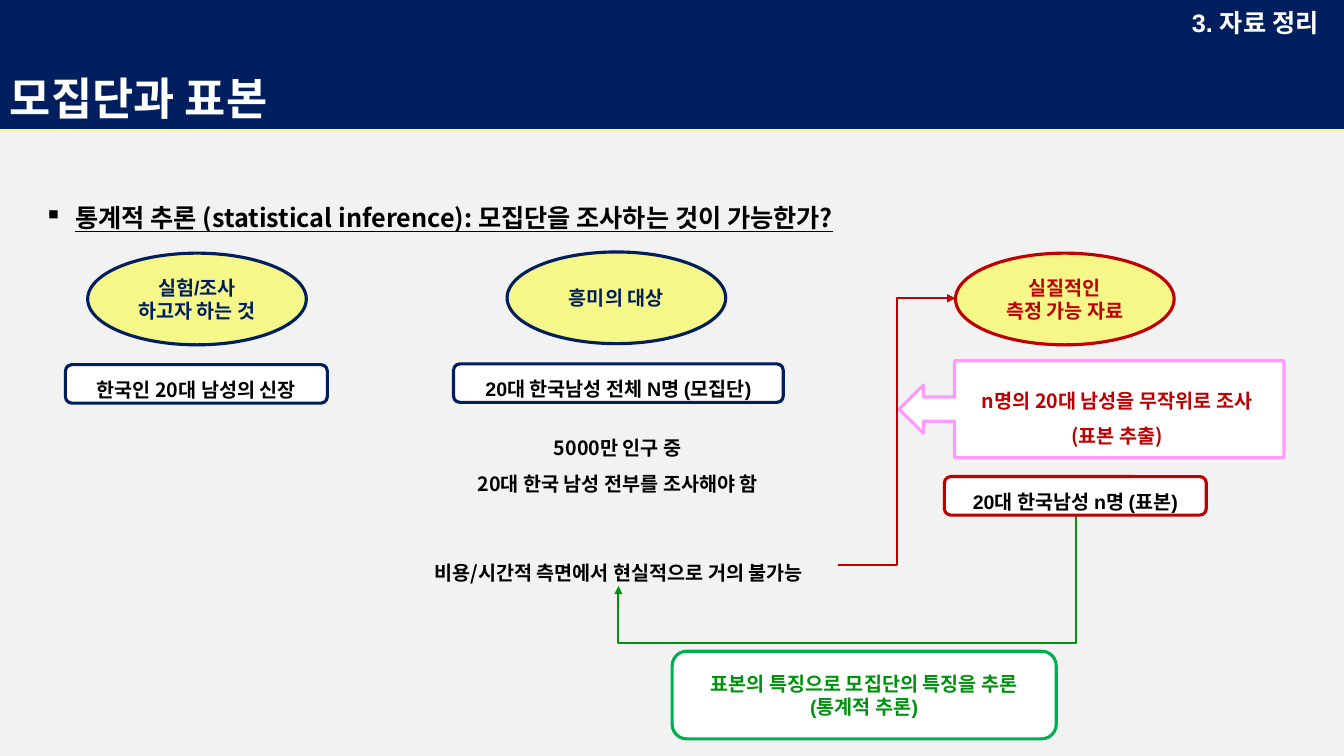
from lxml import etree
from pptx import Presentation
from pptx.dml.color import RGBColor
from pptx.enum.shapes import MSO_CONNECTOR, MSO_SHAPE
from pptx.enum.text import MSO_ANCHOR, PP_ALIGN
from pptx.oxml.ns import qn
from pptx.util import Cm, Pt

RECT, OVAL, ROUND = MSO_SHAPE.RECTANGLE, MSO_SHAPE.OVAL, MSO_SHAPE.ROUNDED_RECTANGLE
CALL = MSO_SHAPE.UP_ARROW_CALLOUT
ELBOW, LINE = MSO_CONNECTOR.ELBOW, MSO_CONNECTOR.STRAIGHT
TOP, MID, LOW = MSO_ANCHOR.TOP, MSO_ANCHOR.MIDDLE, MSO_ANCHOR.BOTTOM
LEFT, CENTER = PP_ALIGN.LEFT, PP_ALIGN.CENTER
SANS, NOTO = "Arial", "Noto Sans CJK KR"
WIDE, HIGH = 33.87, 19.05
HEAD = 3.28

HEX = {
    "paper": "F2F2F2", "navy": "011F5E", "lemon": "F5F888", "white": "FFFFFF",
    "black": "000000", "red": "C00000", "pink": "FF99FF",
    "green": "00920E", "lime": "00B050",
}

TITLE = ["모집단과 표본"]
PART = ["3. 자료 정리"]
POINT = ["통계적 추론 (statistical inference): 모집단을 조사하는 것이 가능한가?"]
OVALS = [
    (["실험/조사", "하고자 하는 것"], 2.21, 6.38, "navy"),
    (["흥미의 대상"], 12.78, 6.35, "navy"),
    (["실질적인", "측정 가능 자료"], 24.08, 6.38, "red"),
]
BOXES = [
    (["한국인 20대 남성의 신장"], 1.65, 9.19, 6.6, "navy", NOTO),
    (["20대 한국남성 전체 N명 (모집단)"], 11.43, 9.17, 8.31, "navy", SANS),
    (["20대 한국남성 n명 (표본)"], 23.8, 12.01, 6.6, "red", SANS),
]
NOTES = [
    (["5000만 인구 중", "20대 한국 남성 전부를 조사해야 함"], (11.33, 10.57, 8.48, 1.93), "black"),
    (["비용/시간적 측면에서 현실적으로 거의 불가능"], (10.06, 13.72, 11.07, 1.04), "black"),
    (["n명의 20대 남성을 무작위로 조사", "(표본 추출)"], (23.8, 9.37, 8.71, 1.93), "red"),
]
RESULT = ["표본의 특징으로 모집단의 특징을 추론", "(통계적 추론)"]

deck = Presentation()
deck.slide_width, deck.slide_height = Cm(WIDE), Cm(HIGH)
slide = deck.slides.add_slide(deck.slide_layouts[6])


def tint(name):
    return RGBColor.from_string(HEX[name])


slide.background.fill.solid()
slide.background.fill.fore_color.rgb = tint("paper")


def write(shape, lines, size=14, font=SANS, color="black", align=CENTER,
          space=1.0, anchor=MID, wrap=True, under=None, mark=None):
    frame = shape.text_frame
    frame.word_wrap = wrap
    frame.vertical_anchor = anchor
    for at, line in enumerate(lines):
        para = frame.add_paragraph() if at else frame.paragraphs[0]
        if mark:
            props = para._p.get_or_add_pPr()
            props.set("marL", str(Cm(0.79)))
            props.set("indent", str(-Cm(0.79)))
            etree.SubElement(props, qn("a:buChar")).set("char", mark)
        para.alignment = align
        para.line_spacing = space
        run = para.add_run()
        run.text = line
        run.font.size = Pt(size)
        run.font.name = font
        run.font.bold = True
        run.font.underline = under
        run.font.color.rgb = tint(color)
        east = etree.SubElement(run._r.get_or_add_rPr(), qn("a:ea"))
        east.set("typeface", NOTO)


def draw(kind, area, fill, edge=None):
    shape = slide.shapes.add_shape(kind, *map(Cm, area))
    shape.shadow.inherit = False
    shape.fill.solid()
    shape.fill.fore_color.rgb = tint(fill)
    if edge:
        shape.line.color.rgb = tint(edge)
        shape.line.width = Pt(2.25)
    else:
        shape.line.fill.background()
    return shape


def label(area):
    return slide.shapes.add_textbox(*map(Cm, area))


def link(kind, ends, color, width, arrow=False):
    wire = slide.shapes.add_connector(kind, *map(Cm, ends))
    wire.line.color.rgb = tint(color)
    wire.line.width = Pt(width)
    props = wire._element.spPr
    if arrow:
        tail = etree.SubElement(props.find(qn("a:ln")), qn("a:tailEnd"))
        tail.set("type", "triangle")
    etree.SubElement(props, qn("a:effectLst"))
    return props


write(draw(RECT, (0, 0, WIDE, HEAD), "navy"), TITLE, size=32, color="white",
      align=LEFT, space=0.9, anchor=LOW)
write(label((29.79, 0.05, 4.06, 1.02)), PART, size=18, color="white",
      align=LEFT, anchor=TOP, wrap=False)
write(label((0.86, 4.6, 31.45, 1.27)), POINT, size=18, font=NOTO,
      align=LEFT, space=1.5, anchor=TOP, under=True, mark="▪")

for lines, x, y, color in OVALS:
    write(draw(OVAL, (x, y, 5.51, 2.31), "lemon", color), lines, color=color)

link(ELBOW, (21.13, 14.25, 24.08, 7.52), "red", 1.5, arrow=True)

call = draw(CALL, (26.29, 5.46, 2.44, 9.7), "white", "pink")
call.rotation = 270
call.adjustments[3] = 0.856

for lines, area, color in NOTES:
    write(label(area), lines, font=NOTO, color=color, space=1.5, anchor=TOP)

turn = link(ELBOW, (20.45, 8.1, 22.25, 19.63), "green", 1.5, arrow=True)
turn.find(qn("a:xfrm")).set("rot", "5400000")
guide = etree.SubElement(turn.find(qn("a:prstGeom")).find(qn("a:avLst")), qn("a:gd"))
guide.set("name", "adj1")
guide.set("fmla", "val 179500")

write(draw(ROUND, (16.94, 16.41, 9.68, 2.21), "white", "lime"), RESULT, color="green")

for lines, x, y, width, edge, font in BOXES:
    write(draw(ROUND, (x, y, width, 0.97), "white", edge), lines, font=font, space=1.5)

link(LINE, (0, HEAD, WIDE, HEAD), "lemon", 2.25)

deck.save("out.pptx")
